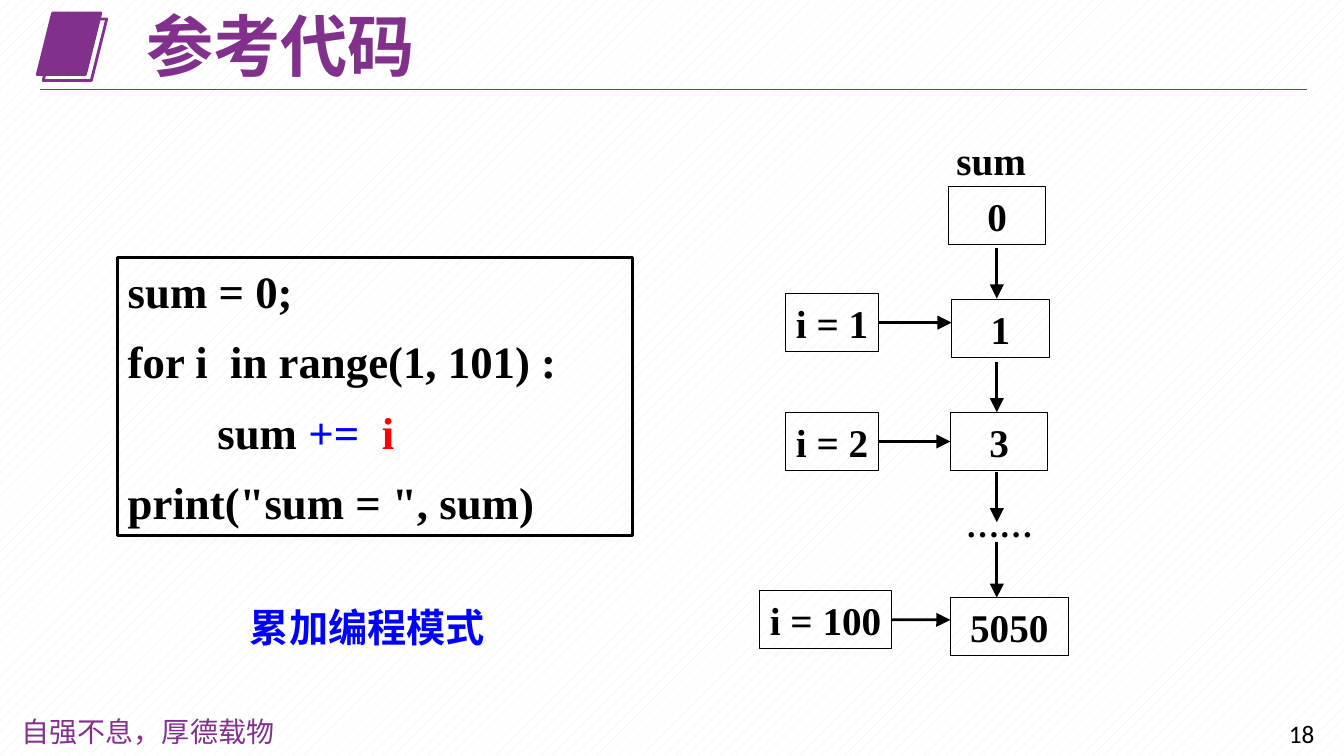
from typing import NamedTuple, Optional

from lxml import etree
from pptx import Presentation
from pptx.dml.color import RGBColor
from pptx.enum import dml, shapes, text
from pptx.oxml.ns import qn
from pptx.util import Cm, Pt

PURPLE, BLACK, BLUE, RED = "81308C", "000000", "0000FF", "FF0000"
SERIF, SANS, SANS_JP = "Times New Roman", "Noto Sans CJK SC", "Noto Sans CJK JP"
LEFT, CENTER = text.PP_ALIGN.LEFT, text.PP_ALIGN.CENTER
BOX_HEIGHT = 1.47
FLOW_X = 25.12


class Box(NamedTuple):
    label: str
    left: float
    top: float
    width: float


class Arrow(NamedTuple):
    start: tuple[float, float]
    end: tuple[float, float]
    source: Optional[str] = None
    target: Optional[str] = None


class Label(NamedTuple):
    words: str
    area: tuple[float, float, float, float]
    style: dict


BOXES = [
    Box("0", 23.9, 4.7, 2.46),
    Box("i = 1", 19.79, 7.39, 2.36),
    Box("1", 23.98, 7.54, 2.46),
    Box("i = 2", 19.79, 10.39, 2.36),
    Box("3", 23.95, 10.39, 2.46),
    Box("i = 100", 19.13, 14.88, 3.35),
    Box("5050", 23.95, 15.06, 2.97),
]
DOWN_ARROWS = [
    Arrow((FLOW_X, top), (FLOW_X, bottom))
    for top, bottom in [(6.25, 7.52), (9.12, 10.39), (11.89, 13.16), (13.67, 15.06)]
]
SIDE_ARROWS = [
    Arrow((22.15, 8.13), (23.98, 8.13), "i = 1"),
    Arrow((22.15, 11.13), (23.95, 11.13), "i = 2", "3"),
    Arrow((22.48, 15.62), (23.95, 15.62), "i = 100"),
]
LABELS = [
    Label("自强不息，厚德载物", (0.3, 17.88, 7.06, 1.12),
          dict(size=20, font=SANS_JP, east_asian=SANS_JP, color=PURPLE, bold=False)),
    Label("18", (32.23, 17.98, 1.55, 1.02), dict(size=18, font="Calibri", bold=False)),
    Label("sum", (23.85, 3.3, 2.26, 1.45), dict(align=CENTER)),
    Label("……", (24.08, 12.57, 2.21, 1.27), dict(size=24, align=CENTER)),
    Label("累加编程模式", (6.05, 15.06, 6.71, 1.45), dict(color=BLUE, east_asian=SANS)),
]
CODE = [
    [("sum = 0;", BLACK)],
    [("for i  in range(1, 101) :", BLACK)],
    [("        sum ", BLACK), ("+=  ", BLUE), ("i", RED)],
    [('print("sum = ", sum)', BLACK)],
]


def rgb(color: str) -> RGBColor:
    return RGBColor.from_string(color)


def write(shape, content, *, size=28, font=SERIF, color=BLACK, bold=True, align=LEFT,
          east_asian=None, gap=0, line_spacing=None):
    """Fill a shape with a string, or with paragraphs given as (words, colour) runs."""
    frame = shape.text_frame
    frame.auto_size = text.MSO_AUTO_SIZE.NONE
    frame.word_wrap = align == LEFT
    frame.vertical_anchor = text.MSO_ANCHOR.MIDDLE
    paragraphs = [[(content, color)]] if isinstance(content, str) else content
    for index, runs in enumerate(paragraphs):
        paragraph = frame.add_paragraph() if index else frame.paragraphs[0]
        paragraph.alignment = align
        paragraph.space_before = Pt(gap if index else 0)
        if line_spacing:
            paragraph.line_spacing = line_spacing
        for words, run_color in runs:
            run = paragraph.add_run()
            run.text = words
            run.font.size, run.font.name, run.font.bold = Pt(size), font, bold
            run.font.color.rgb = rgb(run_color)
            if east_asian:
                latin = run.font._element.find(qn("a:latin"))
                ea = etree.Element(qn("a:ea"), typeface=east_asian)
                latin.addnext(ea)


def add_outline(slide, kind, area, *, color=BLACK, width=0.75, fill=None):
    shape = slide.shapes.add_shape(kind, *map(Cm, area))
    shape.shadow.inherit = False
    shape.line.color.rgb = rgb(color)
    shape.line.width = Pt(width)
    if fill:
        shape.fill.solid()
        shape.fill.fore_color.rgb = rgb(fill)
    else:
        shape.fill.background()
    return shape


def add_line(slide, start, end, *, color=BLACK, width=2.0, head=False):
    line = slide.shapes.add_connector(shapes.MSO_CONNECTOR.STRAIGHT, *map(Cm, (*start, *end)))
    line.line.color.rgb = rgb(color)
    line.line.width = Pt(width)
    properties = line._element.spPr
    if head:
        etree.SubElement(properties.find(qn("a:ln")), qn("a:tailEnd"),
                         type="triangle", w="lg", len="lg")
    etree.SubElement(properties, qn("a:effectLst"))
    return line


def add_header(slide):
    for left, top, fill in [(0.94, 0.33, PURPLE), (1.09, 0.48, None)]:
        add_outline(slide, shapes.MSO_SHAPE.PARALLELOGRAM, (left, top, 1.6, 1.55),
                    color=PURPLE, width=2, fill=fill)
    add_line(slide, (1.02, 2.26), (32.94, 2.26), color=PURPLE, width=0.75)
    title = slide.shapes.title
    title.left, title.top, title.width, title.height = map(Cm, (3.43, 0.28, 18.64, 1.93))
    write(title, "参考代码", size=48, font=SANS, east_asian=SANS, color=PURPLE, line_spacing=0.9)


def add_code(slide):
    code = add_outline(slide, shapes.MSO_SHAPE.RECTANGLE, (2.97, 6.48, 12.98, 7.01), width=2)
    write(code, CODE, size=32, gap=12)


def add_flow(slide):
    placed = {}
    for box in BOXES:
        area = (box.left, box.top, box.width, BOX_HEIGHT)
        placed[box.label] = add_outline(slide, shapes.MSO_SHAPE.RECTANGLE, area)
        write(placed[box.label], box.label, align=CENTER)
    for arrow in DOWN_ARROWS + SIDE_ARROWS:
        line = add_line(slide, arrow.start, arrow.end, head=True)
        if arrow.source:
            line.begin_connect(placed[arrow.source], 3)
        if arrow.target:
            line.end_connect(placed[arrow.target], 1)


def main():
    deck = Presentation()
    deck.slide_width, deck.slide_height = Cm(33.87), Cm(19.05)
    slide = deck.slides.add_slide(deck.slide_layouts[5])
    background = slide.background.fill
    background.patterned()
    background.pattern = dml.MSO_PATTERN.PERCENT_10
    background.fore_color.rgb = rgb("EEECE1")
    background.back_color.rgb = rgb("FFFFFF")
    add_header(slide)
    add_code(slide)
    add_flow(slide)
    for label in LABELS:
        write(slide.shapes.add_textbox(*map(Cm, label.area)), label.words, **label.style)
    deck.save("out.pptx")


if __name__ == "__main__":
    main()
